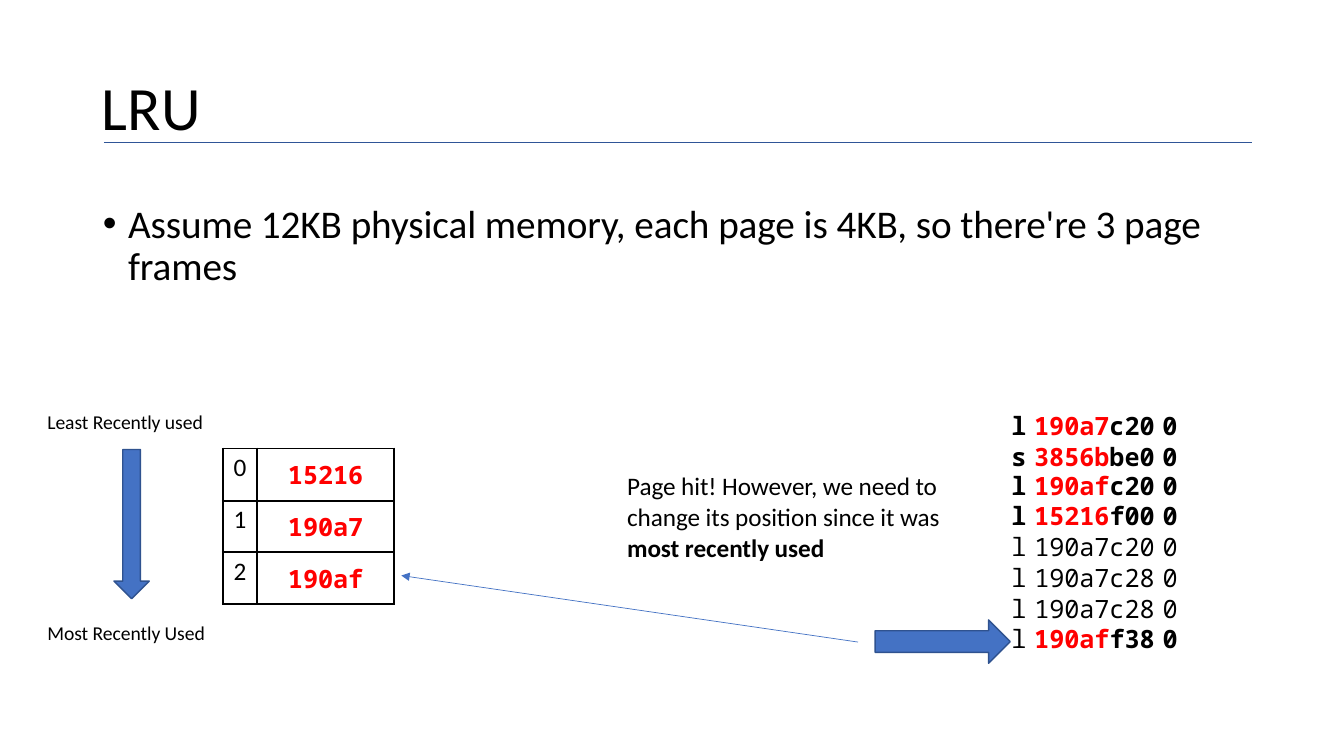
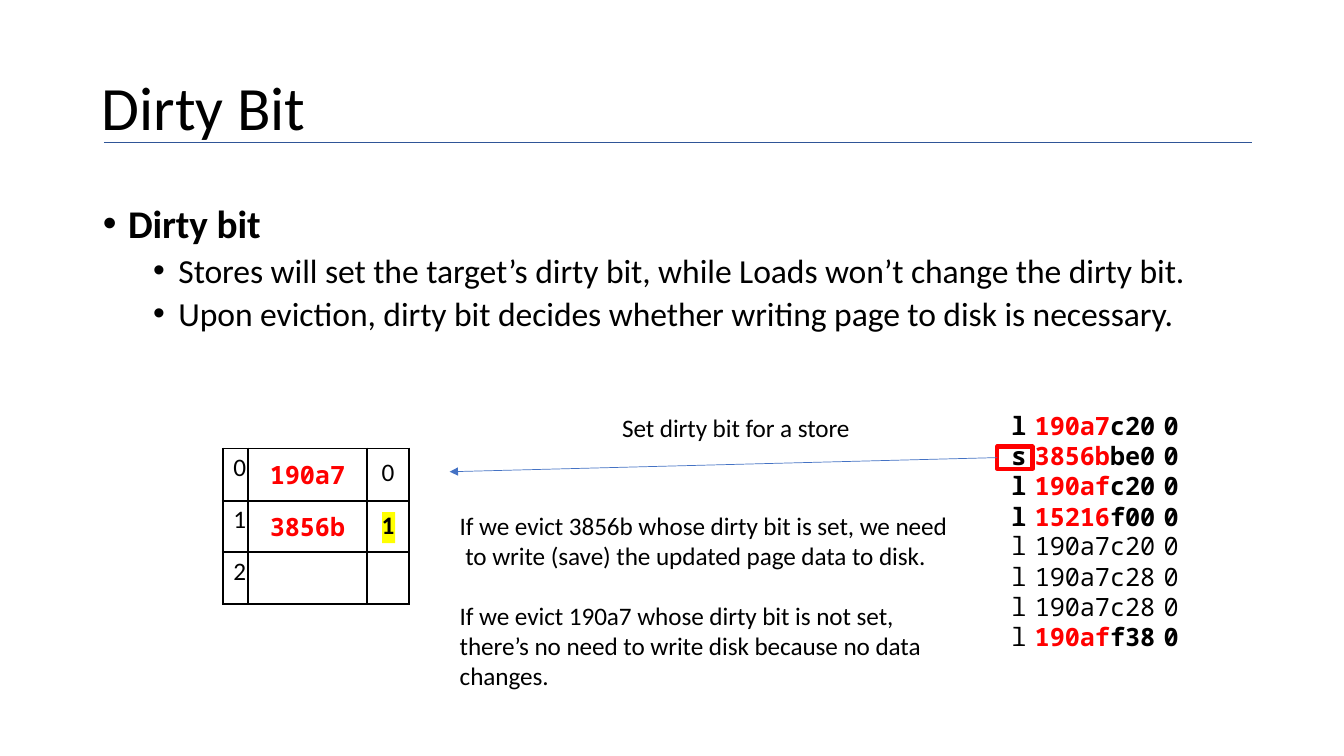
"""Build two slides on page replacement: LRU and the dirty bit."""
import lxml.etree
import pptx
import pptx.dml.color
import pptx.enum.shapes
import pptx.enum.text
import pptx.oxml
import pptx.oxml.ns
import pptx.util

PX = 9144
BLACK, RED, BLUE, EDGE, RULE, GLOW = "000000", "FF0000", "4472C4", "2F528F", "2F5597", "FFFF00"
SANS, MONO = "Calibri", "Noto Sans Mono"
PLAIN = "{2D5ABB26-0587-4C30-8999-92F81FD0307C}"
Pt = pptx.util.Pt
qn = pptx.oxml.ns.qn
Side = pptx.enum.text.PP_ALIGN
Kind = pptx.enum.shapes.MSO_SHAPE
STRAIGHT = pptx.enum.shapes.MSO_CONNECTOR.STRAIGHT
LEFT, MID, RIGHT = Side.LEFT, Side.CENTER, Side.RIGHT


def hue(code):
    return pptx.dml.color.RGBColor.from_string(code)


def put(par, runs, size, bold=False, face=SANS, side=LEFT, pitch=None, gap=0):
    par.font.size, par.font.bold, par.font.name = Pt(size), bold, face
    par._p.pPr.find(qn("a:defRPr")).set("spc", "-7")
    par.alignment, par.space_before = side, Pt(gap)
    if pitch:
        par.line_spacing = Pt(pitch)
    if len(runs) == 1:
        par.text, code = runs[0]
        par.font.color.rgb = hue(code)
    else:
        for text, code in runs:
            run = par.add_run()
            run.text = text
            run.font.color.rgb = hue(code)


trace = []
for op, page, rest, early, hit in [
    ("l", "190a7", "c20", True, True),
    ("s", "3856b", "be0", True, True),
    ("l", "190af", "c20", True, True),
    ("l", "15216", "f00", True, True),
    ("l", "190a7", "c20", False, False),
    ("l", "190a7", "c28", False, False),
    ("l", "190a7", "c28", False, False),
    ("l", "190af", "f38", False, True),
]:
    code = [(page, RED), (rest, BLACK)] if hit else [(page + rest, BLACK)]
    trace.append([
        ([(op, BLACK)], early, MONO, RIGHT, (0, 0, 6)),
        (code, hit, MONO, MID, (0, 0, 0)),
        ([("0", BLACK)], hit, MONO, MID, (3, 0, 0)),
    ])

hint = ["Page hit! However, we need to", "change its position since it was", "most recently used", "", "", ""]
noted = [
    [([(text, BLACK)], i == 2, SANS, LEFT, (3, 0, 0))] + row
    for i, (text, row) in enumerate(zip(hint, trace[2:]))
]

pages = [
    {
        "title": "LRU",
        "body": [("Assume 12KB physical memory, each page is 4KB, so there're 3 page frames", 0, False)],
        "cols": (34, 136),
        "side": MID,
        "frames": [("15216",), ("190a7",), ("190af",)],
        "traces": [
            (1000, 416, (24, 123, 24), (28, 28), (16.9, 18.9), trace[:2]),
            (619, 470, (350, 55, 123, 24), (30, 31, 33, 30, 30, 27),
             (20.6, 20.9, 20.6, 19, 18.9, 18.6), noted),
        ],
        "notes": [
            (47, 407, 180, 14, ["Least Recently used"]),
            (47, 616, 180, 14, ["Most Recently Used"]),
        ],
        "boxes": [
            (Kind.RIGHT_ARROW, 868, 615, 134, 43, BLUE, EDGE, 1),
            (Kind.DOWN_ARROW, 113, 446, 35, 148, BLUE, EDGE, 1),
        ],
        "arrow": (851, 637, 398, 571),
    },
    {
        "title": "Dirty Bit",
        "body": [
            ("Dirty bit", 0, True),
            ("Stores will set the target’s dirty bit, while Loads won’t change the dirty bit.", 1, False),
            ("Upon eviction, dirty bit decides whether writing page to disk is necessary.", 1, False),
        ],
        "cols": (25, 118, 42),
        "side": RIGHT,
        "frames": [("190a7", "0"), ("3856b", "1"), ("", "")],
        "traces": [
            (989, 416, (35, 124, 24), (27, 30, 30, 30, 30, 30, 30, 27),
             (16.9, 19.1, 18.6, 19, 18.4, 19, 18.9, 18.6), trace),
        ],
        "notes": [
            (617, 409, 260, 18, ["Set dirty bit for a store"]),
            (456, 507, 520, 18, [
                "If we evict 3856b whose dirty bit is set, we need\v"
                " to write (save) the updated page data to disk.",
                "If we evict 190a7 whose dirty bit is not set,\v"
                "there’s no need to write disk because no data\vchanges.",
            ]),
        ],
        "boxes": [
            (Kind.RECTANGLE, 379, 508, 13, 31, GLOW, None, 0),
            (Kind.RECTANGLE, 989, 443, 35, 22, None, RED, 3),
        ],
        "arrow": (989, 454, 446, 468),
    },
]

deck = pptx.Presentation()
deck.slide_width, deck.slide_height = 1333 * PX, 750 * PX

for page in pages:
    slide = deck.slides.add_slide(deck.slide_layouts[1])
    shapes = slide.shapes
    title, body = slide.placeholders
    for hold, x, y, w, h in [(title, 101, 68, 903, 76), (body, 101, 203, 1120, 140)]:
        hold.left, hold.top, hold.width, hold.height = x * PX, y * PX, w * PX, h * PX
        frame = hold.text_frame
        frame.margin_left = frame.margin_right = frame.margin_top = frame.margin_bottom = 0
        frame.vertical_anchor = pptx.enum.text.MSO_ANCHOR.TOP
        frame.auto_size = pptx.enum.text.MSO_AUTO_SIZE.NONE
    put(title.text_frame.paragraphs[0], [(page["title"], BLACK)], 44)

    for i, (text, level, bold) in enumerate(page["body"]):
        frame = body.text_frame
        par = frame.add_paragraph() if i else frame.paragraphs[0]
        par.level = level
        put(par, [(text, BLACK)], (28, 24)[level], bold, pitch=(30, 29)[level], gap=2)
        props = par._p.get_or_add_pPr()
        props.set("marL", str((26 + 50 * level) * PX))
        props.set("indent", str(-25 * PX))
        mark = lxml.etree.Element(qn("a:buChar"), char="•")
        props.find(qn("a:defRPr")).addprevious(mark)

    marks = []
    for kind, x, y, w, h, fill, edge, thick in page["boxes"]:
        box = shapes.add_shape(kind, x * PX, y * PX, w * PX, h * PX)
        box.shadow.inherit = False
        if fill:
            box.fill.solid()
            box.fill.fore_color.rgb = hue(fill)
        else:
            box.fill.background()
        if edge:
            box.line.color.rgb = hue(edge)
            box.line.width = Pt(thick)
        else:
            box.line.fill.background()
        marks.append(box)

    frames = []
    for i, (name, *bits) in enumerate(page["frames"]):
        row = [([(str(i), BLACK)], False, SANS, page["side"], (0, 4, 2 * (page["side"] == RIGHT))),
               ([(name, RED)], True, MONO, MID, (0, 9, 0))]
        row += [([(bit, BLACK)], bit == "1", SANS, MID, (0, 9, 0)) for bit in bits]
        frames.append(row)

    stack = (221, 445, page["cols"], (52, 51, 51), (None,) * 3, frames)
    for x, y, cols, talls, steps, rows in page["traces"] + [stack]:
        table = shapes.add_table(len(rows), len(cols), x * PX, y * PX,
                                 sum(cols) * PX, sum(talls) * PX).table
        table.first_row = table.horz_banding = False
        table._tbl.tblPr.find(qn("a:tableStyleId")).text = PLAIN
        for col, wide in zip(table.columns, cols):
            col.width = wide * PX
        for r, (row, tall, pitch) in enumerate(zip(rows, talls, steps)):
            table.rows[r].height = tall * PX
            for c, (runs, bold, face, side, pads) in enumerate(row):
                cell = table.cell(r, c)
                cell.margin_left, cell.margin_top, cell.margin_right = (n * PX for n in pads)
                cell.margin_bottom = 0
                if rows is frames:
                    for edge in ("lnL", "lnR", "lnT", "lnB"):
                        cell._tc.get_or_add_tcPr().append(pptx.oxml.parse_xml(
                            f'<a:{edge} {pptx.oxml.ns.nsdecls("a")} w="{Pt(1.5)}"><a:solidFill>'
                            f'<a:srgbClr val="{BLACK}"/></a:solidFill></a:{edge}>'))
                cell.fill.background()
                par = cell.text_frame.paragraphs[0]
                if runs[0][0]:
                    put(par, runs, 18, bold, face, side, pitch)
                elif pitch:
                    par.line_spacing = Pt(pitch)

    for x, y, w, size, parts in page["notes"]:
        high = 30 * sum(1 + text.count("\v") for text in parts)
        frame = shapes.add_textbox(x * PX, y * PX, w * PX, high * PX).text_frame
        frame.word_wrap = True
        frame.margin_left = frame.margin_right = frame.margin_top = frame.margin_bottom = 0
        for i, text in enumerate(parts):
            par = frame.add_paragraph() if i else frame.paragraphs[0]
            put(par, [(text, BLACK)], size, pitch=size * 1.19, gap=21 * i)

    for ends, code, head in [((103, 141, 1242, 141), RULE, False), (page["arrow"], BLUE, True)]:
        line = shapes.add_connector(STRAIGHT, *(n * PX for n in ends))
        line.line.color.rgb = hue(code)
        line.line.width = Pt(0.5)
        if head:
            lxml.etree.SubElement(line.line._get_or_add_ln(), qn("a:tailEnd"), type="triangle")
        lxml.etree.SubElement(line._element.spPr, qn("a:effectLst"))
        if head and page["title"] == "Dirty Bit":
            line.begin_connect(marks[1], 1)

deck.save("out.pptx")
